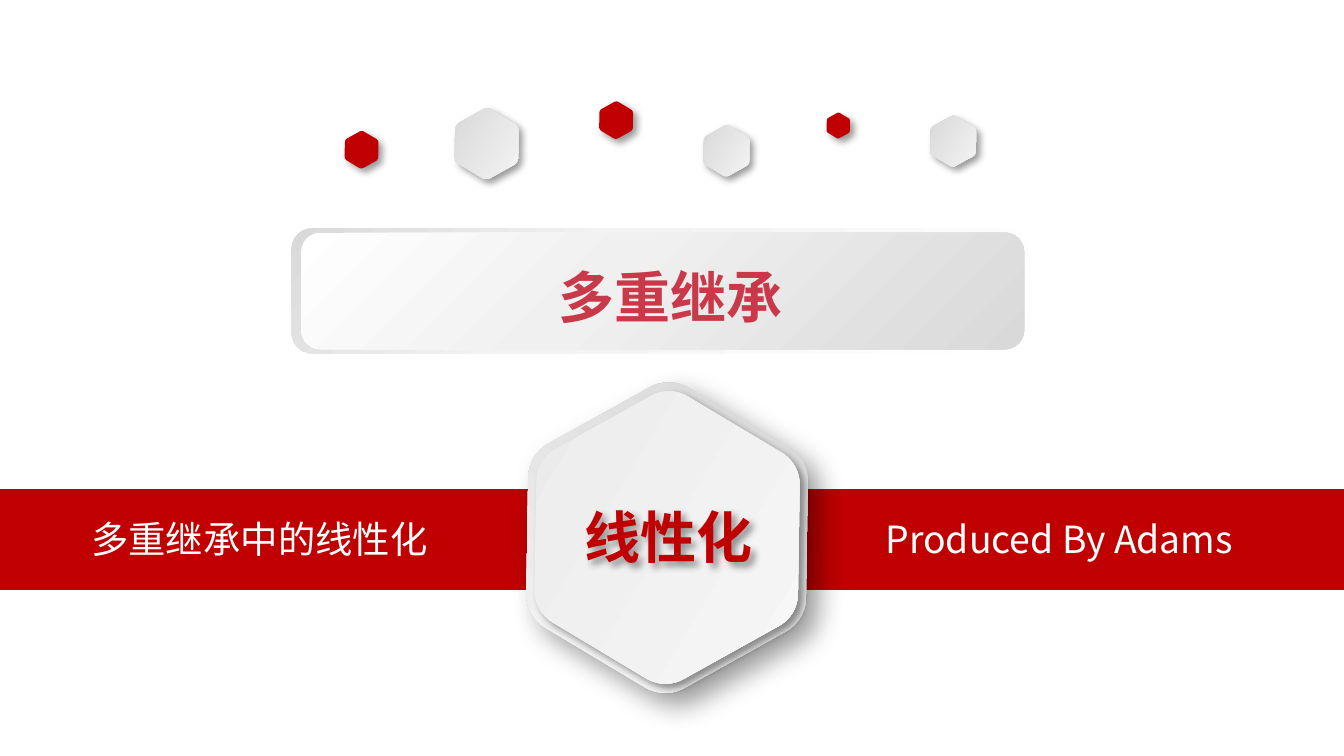
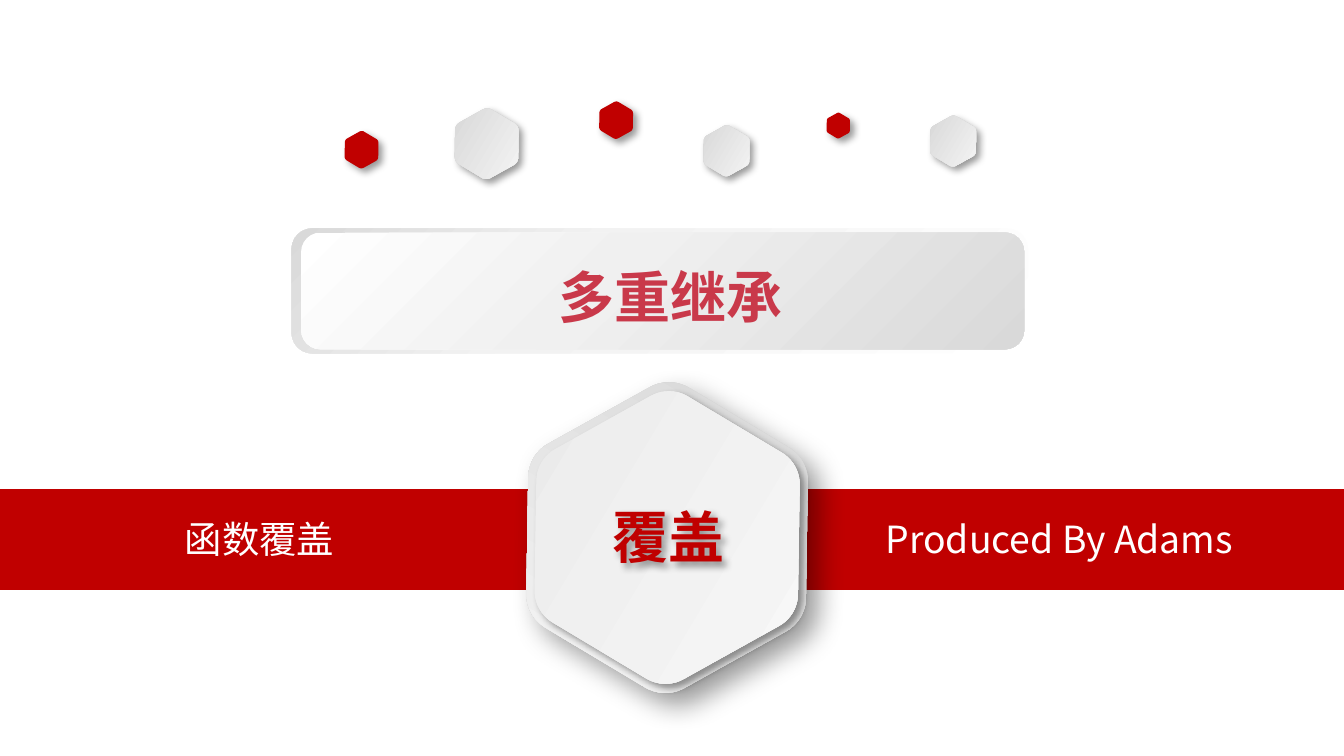
from math import cos, radians, sin, sqrt

from lxml.etree import SubElement
from pptx import Presentation
from pptx.dml.color import RGBColor
from pptx.enum.shapes import MSO_SHAPE
from pptx.enum.text import MSO_ANCHOR, PP_ALIGN
from pptx.oxml.ns import qn
from pptx.util import Pt

# Content
TITLE = "多重继承"
AUTHOR = "Produced By Adams"
SLIDES = [("多重继承中的线性化", "线性化"), ("函数覆盖", "覆盖")]

# Shared style
FONT = "Noto Sans CJK SC"
COLORS = {"red": "C00000", "title": "C9394A", "white": "FFFFFF", "black": "000000",
          "pale": "F9F9F9", "silver": "D3D3D3", "light": "E9E9E9",
          "plate_mid": "F2F2F2", "panel_mid": "F0F0F0", "gray": "D9D9D9"}
HEX_TURN = 30.9
SMALL_SHADOW, LARGE_SHADOW = (4, 3), (15, 9)  # blur, distance

# Gradients: clockwise angle, then (position in percent, colour)
SILVER = (0, [(0, "silver"), (100, "pale")])
SILVER_DOWN = (90, [(0, "silver"), (100, "pale")])
LIGHT = (0, [(0, "light"), (100, "pale")])
PLATE = (225, [(0, "white"), (62, "plate_mid"), (100, "gray")])
PANEL = (45, [(0, "white"), (42, "panel_mid"), (100, "gray")])

# Hexagons: centre x, centre y, height, fill, shadow
DOTS = [(260.7, 77, 34, SILVER, SMALL_SHADOW),
        (330.1, 64.4, 18, "red", SMALL_SHADOW),
        (193.7, 80.2, 18, "red", SMALL_SHADOW),
        (389.2, 80.8, 24.5, SILVER, SMALL_SHADOW),
        (449.1, 67.3, 12.4, "red", SMALL_SHADOW),
        (510.6, 75.6, 24.5, SILVER, SMALL_SHADOW)]
BADGE = [(357.4, 288, 149.8, SILVER_DOWN, LARGE_SHADOW),
         (357.4, 288, 141.1, LIGHT, SMALL_SHADOW)]

# Boxes: left, top, width, height
BAND = (0, 262, 720, 54)
TOPIC_BOX = (12.25, 273, 253.5, 31.5)
AUTHOR_BOX = (467.3, 273, 252, 31.5)
TITLE_BOX = (162, 136.8, 394.5, 43.2)
LABEL_BOX = (287.3, 269.3, 141.8, 36)
BANNER = [((156.2, 122.4, 394.6, 67), PLATE), ((161.3, 124.6, 387.4, 62.6), PANEL)]


def points(box):
    return [Pt(v) for v in box]


def paint(shape, fill):
    """Fill with a colour name or a gradient, without an outline."""
    shape.line.fill.background()
    if isinstance(fill, str):
        shape.fill.solid()
        shape.fill.fore_color.rgb = RGBColor.from_string(COLORS[fill])
        return
    angle, stops = fill
    shape.fill.gradient()
    shape.fill.gradient_angle = -angle % 360
    stop_list = shape.fill._fill._gradFill.find(qn("a:gsLst"))
    for old in list(stop_list):
        stop_list.remove(old)
    for position, name in stops:
        stop = SubElement(stop_list, qn("a:gs"), pos=str(position * 1000))
        SubElement(stop, qn("a:srgbClr"), val=COLORS[name])


def cast_shadow(shape, blur, distance):
    shape.shadow.inherit = False
    effects = shape._element.spPr.find(qn("a:effectLst"))
    shadow = SubElement(effects, qn("a:outerShdw"), blurRad=str(Pt(blur)),
                        dist=str(Pt(distance)), dir=str(45 * 60000),
                        algn="tl", rotWithShape="0")
    color = SubElement(shadow, qn("a:srgbClr"), val=COLORS["black"])
    SubElement(color, qn("a:alpha"), val="40000")


def add_hexagon(shapes, x, y, height, fill, shadow):
    """Flat-topped regular hexagon with round corners, then turned."""
    radius = 0.14 * height
    reach = (height - 2 * radius) / sqrt(3)  # centre to each corner's arc centre
    outline = []
    for corner in range(0, 360, 60):
        for angle in range(corner - 30, corner + 31, 6):
            outline.append((Pt(x + reach * cos(radians(corner)) + radius * cos(radians(angle))),
                            Pt(y + reach * sin(radians(corner)) + radius * sin(radians(angle)))))
    builder = shapes.build_freeform(*outline[0])
    builder.add_line_segments(outline[1:], close=True)
    s = builder.convert_to_shape()
    s.rotation = HEX_TURN
    paint(s, fill)
    cast_shadow(s, *shadow)


def add_box(shapes, kind, box, fill):
    s = shapes.add_shape(kind, *points(box))
    s.shadow.inherit = False
    paint(s, fill)


def write(shape, text, size, color, bold=False, align=PP_ALIGN.CENTER, anchor=MSO_ANCHOR.TOP):
    tf = shape.text_frame
    tf.word_wrap = True
    tf.vertical_anchor = anchor
    p = tf.paragraphs[0]
    p.text = text
    p.alignment = align
    p.font.size, p.font.bold, p.font.name = Pt(size), bold, FONT
    p.font.color.rgb = RGBColor.from_string(COLORS[color])
    SubElement(p.font._element, qn("a:ea"), typeface=FONT)


def add_section(prs, topic, label):
    slide = prs.slides.add_slide(prs.slide_layouts[5])
    shapes = slide.shapes

    # Red band with topic and author
    add_box(shapes, MSO_SHAPE.RECTANGLE, BAND, "red")
    write(shapes.add_textbox(*points(TOPIC_BOX)), topic, 20, "white")
    write(shapes.add_textbox(*points(AUTHOR_BOX)), AUTHOR, 20, "white", align=PP_ALIGN.LEFT)

    # Floating hexagons and the central badge
    for dot in DOTS:
        add_hexagon(shapes, *dot)
    badge = shapes.add_group_shape()
    for layer in BADGE:
        add_hexagon(badge.shapes, *layer)

    # Banner, with the title brought in front of it
    banner = shapes.add_group_shape()
    for box, fill in BANNER:
        add_box(banner.shapes, MSO_SHAPE.ROUNDED_RECTANGLE, box, fill)
    title = shapes.title
    title.left, title.top, title.width, title.height = points(TITLE_BOX)
    write(title, TITLE, 30, "title", bold=True)
    shapes._spTree.append(title._element)

    # Badge label
    s = shapes.add_shape(MSO_SHAPE.ROUNDED_RECTANGLE, *points(LABEL_BOX))
    s.fill.background()
    s.line.fill.background()
    cast_shadow(s, *SMALL_SHADOW)
    write(s, label, 30, "red", bold=True, anchor=MSO_ANCHOR.MIDDLE)


def main():
    prs = Presentation()
    prs.slide_width, prs.slide_height = Pt(720), Pt(405)
    for topic, label in SLIDES:
        add_section(prs, topic, label)
    prs.save("out.pptx")


if __name__ == "__main__":
    main()
